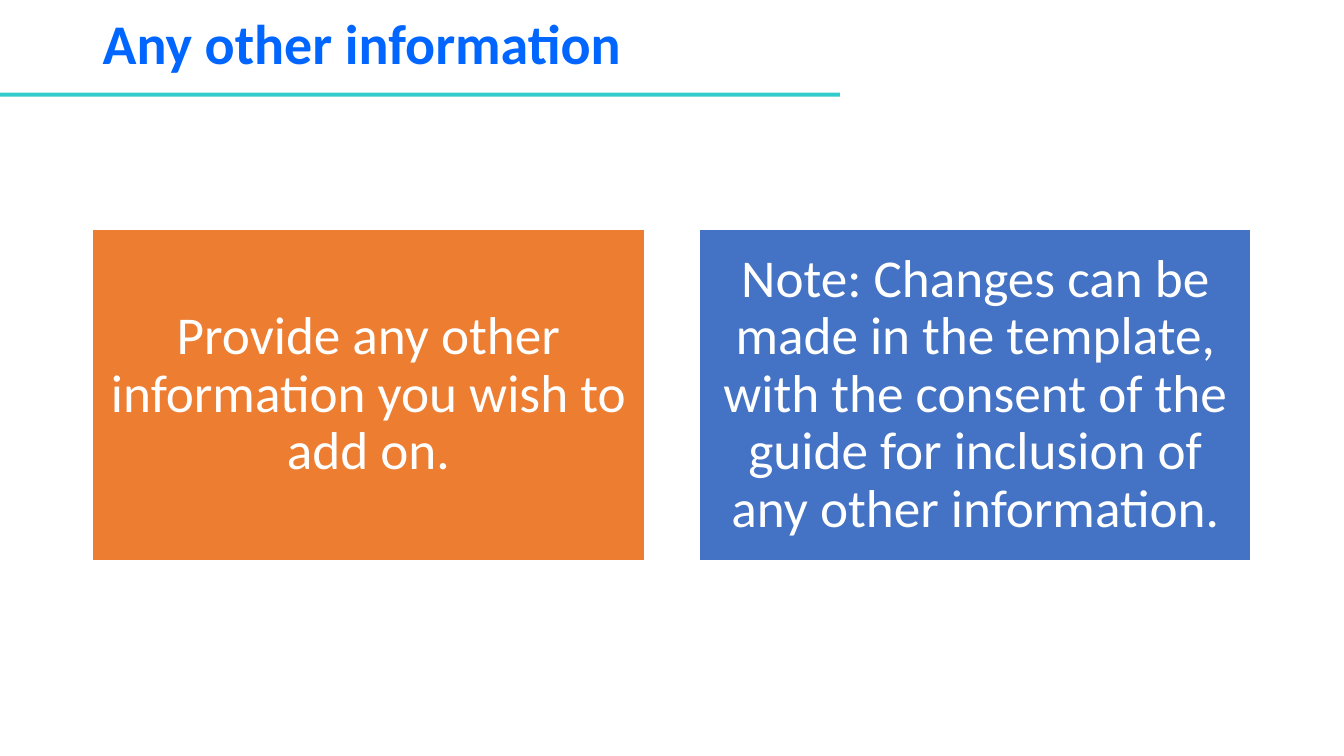
from pptx import Presentation
from pptx.dml.color import RGBColor
from pptx.enum.shapes import MSO_SHAPE as Shape
from pptx.enum.text import MSO_ANCHOR as Anchor, PP_ALIGN as Align
from pptx.util import Inches, Pt

WIDTH, HEIGHT = 13.33, 7.5
MARGIN = 0.92
CARD_GAP = 0.55
CARD_RATIO = 0.6
CARDS = [
    ("Provide any other information you wish to add on.", "ED7D31"),
    ("Note: Changes can be made in the template, with the consent of the "
     "guide for inclusion of any other information.", "4472C4"),
]


def color(value):
    return RGBColor.from_string(value)


def write(shape, text, size, fill, bold=False, align=Align.LEFT, inset=(0.1, 0.05)):
    frame = shape.text_frame
    frame.word_wrap = True
    frame.vertical_anchor = Anchor.MIDDLE
    frame.margin_left = frame.margin_right = Inches(inset[0])
    frame.margin_top = frame.margin_bottom = Inches(inset[1])
    paragraph = frame.paragraphs[0]
    paragraph.alignment = align
    paragraph.line_spacing = 0.9
    run = paragraph.add_run()
    run.text = text
    run.font.name = "Calibri"
    run.font.size = Pt(size)
    run.font.bold = bold
    run.font.color.rgb = color(fill)


def add_block(slide, box, fill, outline=None):
    block = slide.shapes.add_shape(Shape.RECTANGLE, *map(Inches, box))
    block.shadow.inherit = False
    block.fill.solid()
    block.fill.fore_color.rgb = color(fill)
    if outline:
        block.line.color.rgb = color(outline)
        block.line.width = Pt(1)
    else:
        block.line.fill.background()
    return block


def add_header(slide, box, text):
    left, top, width, height = box
    add_block(slide, (left, top + height, width * 0.625, 0.04), "33CCCC")
    title_box = (left + MARGIN, top, width - 2 * MARGIN, height)
    title = slide.shapes.add_textbox(*map(Inches, title_box))
    write(title, text, 40, "0066FF", bold=True)


def add_cards(slide, box, cards):
    left, top, width, height = box
    card_width = (width - CARD_GAP * (len(cards) - 1)) / len(cards)
    card_height = card_width * CARD_RATIO
    card_top = top + (height - card_height) / 2
    for index, (text, fill) in enumerate(cards):
        card_left = left + index * (card_width + CARD_GAP)
        card = add_block(slide, (card_left, card_top, card_width, card_height),
                         fill, outline="FFFFFF")
        write(card, text, 38, "FFFFFF", align=Align.CENTER, inset=(0.16, 0.16))


def main():
    presentation = Presentation()
    presentation.slide_width = Inches(WIDTH)
    presentation.slide_height = Inches(HEIGHT)
    slide = presentation.slides.add_slide(presentation.slide_layouts[6])
    add_header(slide, (0, 0, WIDTH, MARGIN), "Any other information")
    add_cards(slide, (MARGIN, MARGIN, WIDTH - 2 * MARGIN, 6), CARDS)
    presentation.save("out.pptx")


if __name__ == "__main__":
    main()
